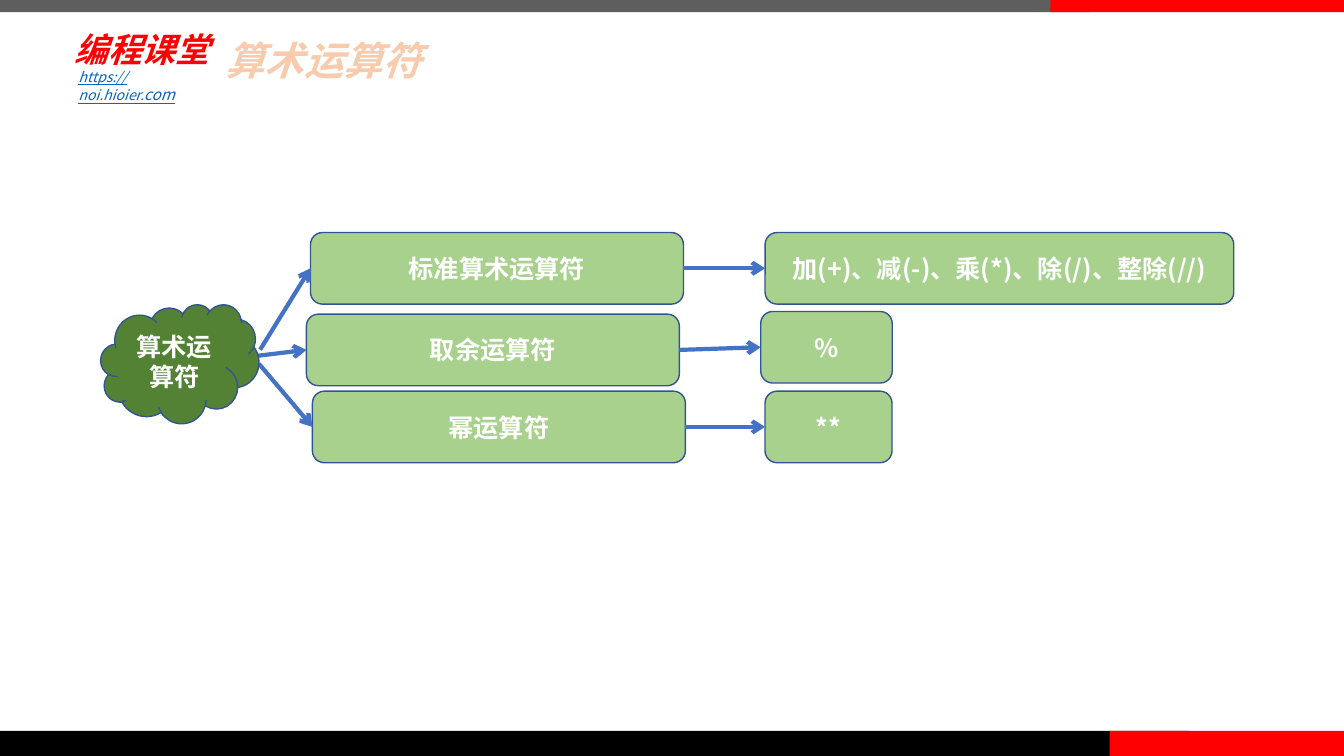
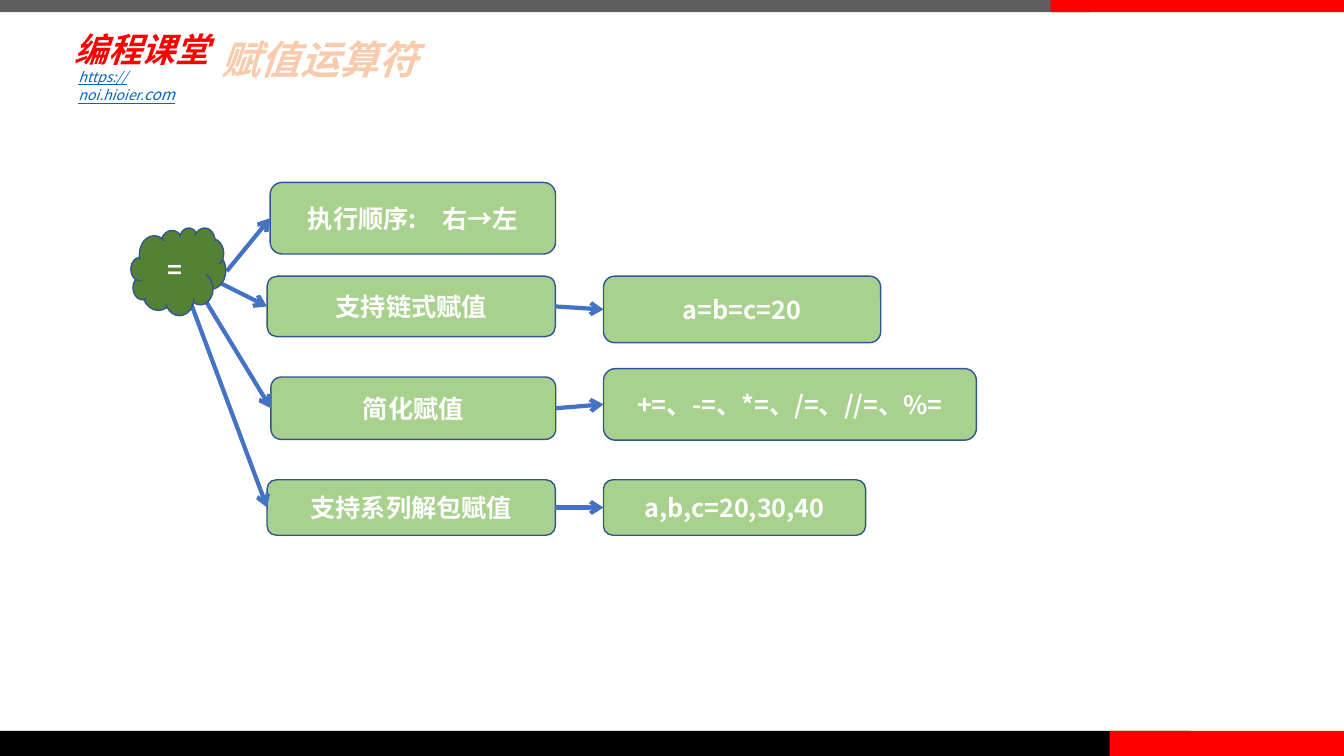
"""Build two mind-map slides on Python operators."""
from dataclasses import dataclass

import lxml.etree
import pptx
import pptx.dml.color
import pptx.enum.shapes
import pptx.enum.text
import pptx.oxml.ns
import pptx.util

Pt = pptx.util.Pt
SHAPE = pptx.enum.shapes.MSO_SHAPE
ANCHOR = pptx.enum.text.MSO_ANCHOR
ALIGN = pptx.enum.text.PP_ALIGN
qn = pptx.oxml.ns.qn


@dataclass(frozen=True)
class Theme:
    """Colours, fonts and sizes shared by the slides."""
    root: str = "548235"
    node: str = "A9D18E"
    border: str = "325491"
    arrow: str = "4472C4"
    white: str = "FFFFFF"
    title: str = "F8CBAD"
    title_outline: str = "ED7D31"
    red: str = "FF0000"
    grey: str = "5E5E5E"
    black: str = "000000"
    address: str = "0563C1"
    font: str = "Noto Sans CJK SC"
    brand_font: str = "Roboto"
    title_size: float = 28
    brand_size: float = 24
    node_size: float = 18
    address_size: float = 10
    border_width: float = 1
    arrow_width: float = 3
    outline_width: float = 1.75


THEME = Theme()
WIDTH, HEIGHT = 960, 540
BRAND = "编程课堂"
ADDRESS = [("https://noi.hioier.", THEME.address_size), ("com", THEME.address_size + 1)]
TOP_BAND, BOTTOM_BAND = 8.64, 18
BANDS = [
    (0, 0, 778.3, TOP_BAND, THEME.grey),
    (0, HEIGHT - BOTTOM_BAND, 849.6, BOTTOM_BAND, THEME.black),
    (792.7, HEIGHT - BOTTOM_BAND, WIDTH - 792.7, BOTTOM_BAND, THEME.red),
    (750.2, 0, WIDTH - 750.2, TOP_BAND, THEME.red),
]

SLIDES = [
    {
        "title": ("算术运算符", (154.1, 25.9, 252, 53.3)),
        "root": ("算术运算符", (72, 217.4, 113, 85)),
        "branches": [
            {"start": (185.8, 249.8),
             "node": ("标准算术运算符", (221.8, 166.1, 266.4, 51.1)),
             "result": ("加(+)、减(-)、乘(*)、除(/)、整除(//)", (546.5, 166.1, 334.8, 51.1))},
            {"start": (183.6, 254.2),
             "node": ("取余运算符", (218.9, 224.4, 266.4, 51.1)),
             "result": ("%", (543.4, 222.5, 93.9, 51.1))},
            {"start": (185, 259.9),
             "node": ("幂运算符", (223.2, 279.4, 266.4, 51.1)),
             "result": ("**", (546.5, 279.4, 90.7, 51.1))},
        ],
    },
    {
        "title": ("赋值运算符", (151.2, 25.2, 255.6, 56.9)),
        "root": ("=", (93.6, 162.7, 67.7, 62.6)),
        "branches": [
            {"start": (162, 193.7),
             "node": ("执行顺序:　右→左", (193, 130.3, 203.8, 51.1))},
            {"start": (147.6, 197.3),
             "node": ("支持链式赋值", (190.8, 197.3, 205.9, 43.2)),
             "result": ("a=b=c=20", (431.1, 197.3, 198, 47.5))},
            {"start": (141.8, 206.6),
             "node": ("简化赋值", (193.5, 269.3, 203.5, 44.6)),
             "result": ("+=、-=、*=、/=、//=、%=", (431.1, 263.3, 266.4, 51.1))},
            {"start": (133.2, 208.1),
             "node": ("支持系列解包赋值", (190.8, 342.7, 205.9, 39.6)),
             "result": ("a,b,c=20,30,40", (431.1, 342.7, 187.2, 39.6))},
        ],
    },
]


def points(values):
    """Turn plain numbers into lengths."""
    return [Pt(value) for value in values]


def rgb(value):
    """Turn a hex string into a colour."""
    return pptx.dml.color.RGBColor.from_string(value)


def write(para, text, *, size, color, font=THEME.font, bold=False, italic=False, underline=False):
    """Add one formatted span to a paragraph."""
    span = para.add_run()
    span.text = text
    style = span.font
    style.size, style.name = Pt(size), font
    style.bold, style.italic, style.underline = bold, italic, underline
    style.fill.solid()
    style.fill.fore_color.rgb = rgb(color)
    properties = span._r.get_or_add_rPr()
    lxml.etree.SubElement(properties, qn("a:ea"), typeface=THEME.font)
    return span


def add_shape(page, kind, frame, fill, border=None):
    """Draw a flat preset shape."""
    shape = page.shapes.add_shape(kind, *points(frame))
    shape.shadow.inherit = False
    shape.fill.solid()
    shape.fill.fore_color.rgb = rgb(fill)
    if border:
        shape.line.color.rgb = rgb(border)
        shape.line.width = Pt(THEME.border_width)
    else:
        shape.line.fill.background()
    return shape


def add_node(page, text, frame, kind=SHAPE.ROUNDED_RECTANGLE, fill=THEME.node):
    """Draw a labelled node of the map."""
    node = add_shape(page, kind, frame, fill, THEME.border)
    node.text_frame.word_wrap = True
    node.text_frame.vertical_anchor = ANCHOR.MIDDLE
    para = node.text_frame.paragraphs[0]
    para.alignment = ALIGN.CENTER
    write(para, text, size=THEME.node_size, color=THEME.white, bold=True)
    return node


def add_arrow(page, target, source=None, start=(0, 0)):
    """Point an arrow at a node's left side, from a node or a free point."""
    arrow = page.shapes.add_connector(
        pptx.enum.shapes.MSO_CONNECTOR.STRAIGHT, *points(start), target.left, target.top)
    if source is not None:
        arrow.begin_connect(source, 3)
    arrow.end_connect(target, 1)
    arrow.line.color.rgb = rgb(THEME.arrow)
    arrow.line.width = Pt(THEME.arrow_width)
    lxml.etree.SubElement(arrow.line._get_or_add_ln(), qn("a:tailEnd"), type="arrow")
    lxml.etree.SubElement(arrow._element.spPr, qn("a:effectLst"))


def add_text_box(page, frame):
    """Add a wrapping text box."""
    box = page.shapes.add_textbox(*points(frame))
    box.text_frame.word_wrap = True
    return box.text_frame


def set_title(page, text, frame):
    """Place and format the slide title."""
    title = page.shapes.title
    title.left, title.top, title.width, title.height = points(frame)
    body = title.text_frame
    body.word_wrap = True
    body.auto_size = pptx.enum.text.MSO_AUTO_SIZE.NONE
    body.vertical_anchor = ANCHOR.TOP
    para = body.paragraphs[0]
    para.alignment = ALIGN.LEFT
    para.line_spacing = 0.9
    span = write(para, text, size=THEME.title_size, color=THEME.title, bold=True, italic=True)
    outline = lxml.etree.Element(qn("a:ln"), w=str(Pt(THEME.outline_width)))
    fill = lxml.etree.SubElement(outline, qn("a:solidFill"))
    lxml.etree.SubElement(fill, qn("a:srgbClr"), val=THEME.title_outline)
    span._r.get_or_add_rPr().insert(0, outline)


def add_frame(page):
    """Draw the bands, the school name and its address."""
    for *frame, color in BANDS:
        add_shape(page, SHAPE.RECTANGLE, frame, color)
    brand = add_text_box(page, (49, 16.6, 133.2, 37.4))
    brand.vertical_anchor = ANCHOR.MIDDLE
    brand.margin_left = brand.margin_right = brand.margin_top = brand.margin_bottom = Pt(4.3)
    write(brand.paragraphs[0], BRAND, size=THEME.brand_size, color=THEME.red,
          font=THEME.brand_font, bold=True, italic=True)
    address = add_text_box(page, (49, 45.4, 115.2, 20.9))
    for text, size in ADDRESS:
        write(address.paragraphs[0], text, size=size, color=THEME.address,
              italic=True, underline=True)


def add_map(page, root, branches):
    """Draw the branches, then the root cloud over the arrow starts."""
    for branch in branches:
        node = add_node(page, *branch["node"])
        add_arrow(page, node, start=branch["start"])
        if "result" in branch:
            add_arrow(page, add_node(page, *branch["result"]), source=node)
    add_node(page, *root, kind=SHAPE.CLOUD, fill=THEME.root)


def main():
    """Build and save the deck."""
    deck = pptx.Presentation()
    deck.slide_width, deck.slide_height = points((WIDTH, HEIGHT))
    for content in SLIDES:
        page = deck.slides.add_slide(deck.slide_layouts.get_by_name("Title Only"))
        set_title(page, *content["title"])
        add_map(page, content["root"], content["branches"])
        add_frame(page)
    deck.save("out.pptx")


if __name__ == "__main__":
    main()
